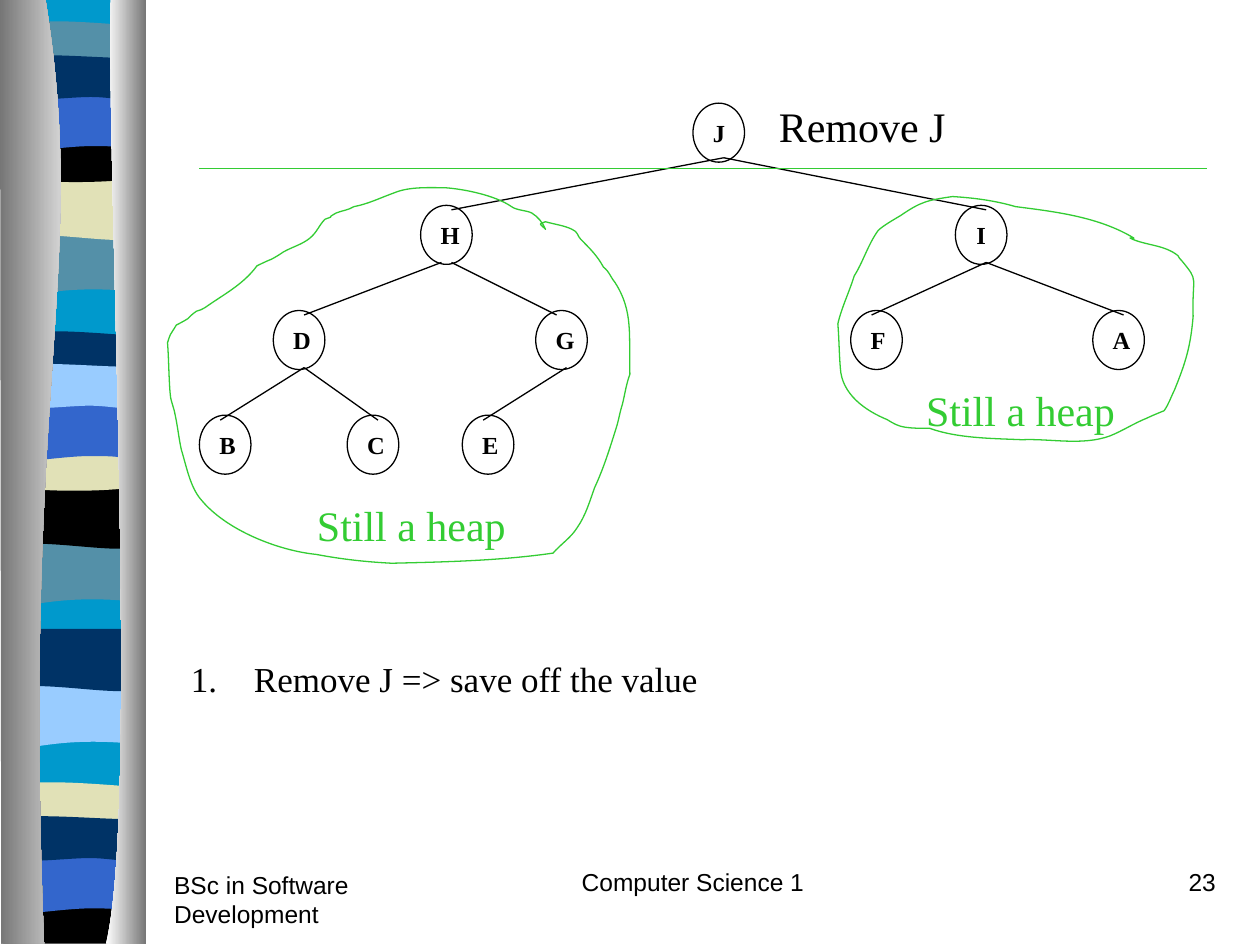
from lxml.etree import Element, SubElement
from pptx import Presentation
from pptx.dml.color import RGBColor
from pptx.enum.shapes import MSO_CONNECTOR, MSO_SHAPE
from pptx.enum.text import MSO_ANCHOR, PP_ALIGN
from pptx.oxml.ns import qn
from pptx.util import Cm, Pt

BLACK = RGBColor(0x00, 0x00, 0x00)
WHITE = RGBColor(0xFF, 0xFF, 0xFF)
GREY = RGBColor(0x76, 0x76, 0x76)
GREEN = RGBColor(0x33, 0xCC, 0x33)
CYAN = RGBColor(0x00, 0x99, 0xCC)
TEAL = RGBColor(0x54, 0x90, 0xA8)
SAND = RGBColor(0xE1, 0xE1, 0xB7)
BLUE = RGBColor(0x33, 0x66, 0xCC)
NAVY = RGBColor(0x00, 0x33, 0x66)
SKY = RGBColor(0x99, 0xCC, 0xFF)
SERIF, SANS = "Times New Roman", "Arial"

# Outlines: a start point, then (x, y) lines or (x1, y1, x2, y2, x, y) curves
UNIT = Cm(0.0254)

# Ribbon bands, relative to their own top left corner
DIP = [(108, 0), (108, 0, 108, 47, 108, 47), (33, 39, 18, 55, 0, 47), (0, 0)]
SWELL = [(108, 0), (108, 47), (90, 55, 33, 41, 0, 47), (0, 0)]
LENS = [(108, 0), (108, 24), (90, 28, 18, 28, 0, 24), (0, 0),
        (6, -5, 23, -4, 41, -4), (59, -4, 94, -1, 108, 0)]
BOWL = [(108, 0), (108, 32), (90, 38, 18, 38, 0, 32), (0, 0), (66, 5, 85, 0, 108, 0)]
BASE = [(108, 0), (108, 37), (1, 37), (0, 0), (66, 5, 85, 0, 108, 0)]
ARCH = [(108, 0), (108, 0, 108, 47, 108, 47), (91, 42, 84, 42, 66, 42),
        (48, 42, 16, 47, 0, 47), (0, 0)]
FLAG = [(108, 0), (108, 31), (101, 36, 84, 31, 66, 31), (48, 31, 11, 36, 0, 31),
        (0, 0), (15, -5, 73, 0, 91, 0), (109, 0, 105, 0, 108, 0)]
BANDS = [  # outline, left, top, colour
    (DIP, 6, 185, TEAL), (SWELL, 6, 141, SAND), (LENS, 6, 21, TEAL),
    (BOWL, 6, 108, BLACK), (ARCH, 6, 74, BLUE), (FLAG, 6, 46, NAVY),
    (DIP, 5, 431, TEAL), (SWELL, 5, 386, BLACK), (LENS, 5, 267, NAVY),
    (BOWL, 5, 353, SAND), (ARCH, 5, 320, BLUE), (FLAG, 5, 291, SKY),
    (DIP, 6, 544, SKY), (SWELL, 6, 499, NAVY), (LENS, 5, 625, SAND),
    (BASE, 5, 712, BLACK), (ARCH, 5, 679, BLUE), (FLAG, 5, 650, NAVY),
]
RIBBON = [(114, -1), (114, 747), (6, 747), (6, -1)]
LEFT_PANEL = [(36, -1), (71, 216, 17, 296, 35, 749), (1, 749), (0, -1)]
RIGHT_PANEL = [(88, -1), (84, 125, 111, 646, 84, 749), (116, 749), (116, 0)]

LEFT_HEAP = [
    (433, 182), (431, 177, 427, 172, 422, 169), (418, 167, 410, 167, 406, 164),
    (393, 155, 368, 150, 353, 149), (341, 149, 325, 148, 313, 153),
    (302, 157, 292, 162, 281, 164), (276, 167, 272, 167, 267, 169),
    (256, 175, 269, 170, 258, 174), (253, 179, 252, 184, 246, 189),
    (240, 194, 232, 196, 225, 200), (222, 202, 219, 204, 215, 206),
    (212, 207, 204, 211, 204, 211), (193, 226, 177, 234, 163, 244),
    (161, 246, 158, 246, 156, 247), (153, 249, 151, 251, 149, 253),
    (146, 255, 140, 258, 140, 258), (134, 268, 136, 263, 133, 272),
    (134, 285, 134, 298, 135, 311), (135, 317, 138, 323, 139, 329),
    (141, 338, 142, 348, 144, 357), (148, 370, 151, 387, 160, 397),
    (180, 421, 221, 437, 251, 440), (272, 444, 291, 446, 311, 447),
    (354, 446, 397, 445, 439, 439), (445, 432, 453, 427, 458, 419),
    (465, 409, 468, 398, 472, 387), (479, 372, 484, 356, 489, 340),
    (491, 334, 492, 327, 494, 321), (496, 313, 497, 305, 500, 297),
    (499, 267, 503, 247, 488, 224), (484, 219, 484, 216, 479, 212),
    (474, 203, 469, 198, 461, 190), (458, 187, 459, 184, 454, 182),
    (448, 179, 440, 178, 433, 176), (427, 178, 428, 177, 433, 182),
]
RIGHT_HEAP = [
    (900, 189), (872, 172, 837, 168, 806, 164), (789, 159, 772, 157, 756, 156),
    (736, 159, 731, 160, 715, 171), (710, 174, 701, 179, 697, 183),
    (689, 194, 685, 208, 678, 219), (674, 232, 668, 244, 665, 257),
    (666, 269, 666, 280, 667, 292), (668, 313, 687, 326, 704, 333),
    (709, 336, 712, 338, 718, 339), (724, 340, 731, 340, 738, 340),
    (760, 348, 788, 348, 811, 349), (834, 348, 859, 354, 881, 346),
    (891, 342, 900, 336, 910, 332), (914, 330, 924, 326, 924, 326),
    (928, 320, 929, 316, 932, 310), (941, 288, 945, 275, 947, 251),
    (946, 218, 952, 224, 938, 207), (936, 206, 936, 204, 935, 203),
    (924, 194, 909, 195, 897, 189), (896, 189, 899, 189, 900, 189),
]

# Tree: left edge of each node (cm) and its level
NODES = {
    "J": (13.97, 0), "H": (8.48, 1), "I": (19.26, 1), "D": (5.51, 2),
    "G": (10.8, 2), "B": (4.02, 3), "C": (7, 3), "E": (9.32, 3),
    "A": (22.03, 2), "F": (17.15, 2),
}
LEVEL_TOPS = [2.08, 4.14, 6.26, 8.37]
EDGE_STARTS = [3.18, 5.29, 7.41]
EDGE_ENDS = [4.23, 6.35, 8.47]
NEAR, FAR = 0.42, 0.62  # where an edge meets a node, from its left side
EDGES = [
    ("J", FAR, "H", FAR), ("H", NEAR, "D", FAR), ("D", FAR, "B", NEAR),
    ("G", FAR, "E", NEAR), ("J", FAR, "I", FAR), ("H", FAR, "G", NEAR),
    ("D", FAR, "C", FAR), ("I", FAR, "A", FAR), ("I", FAR, "F", NEAR),
]


def add_outline(slide, outline, left=0, top=0, fill=None, line=None):
    points = [((left + segment[i]) * UNIT, (top + segment[i + 1]) * UNIT)
              for segment in outline for i in range(0, len(segment), 2)]
    builder = slide.shapes.build_freeform(*points[0])
    builder.add_line_segments(points[1:], close=True)
    shape = builder.convert_to_shape()
    bend(shape, outline)
    shape.shadow.inherit = False
    paint(shape, fill, line)
    return shape


def bend(shape, outline):
    """Join the three lines that stand for each curve into one cubic curve."""
    lines = iter(list(shape._element.iter(qn("a:lnTo"))))
    for segment in outline[1:]:
        parts = [next(lines) for _ in range(len(segment) // 2)]
        if len(parts) == 3:
            curve = Element(qn("a:cubicBezTo"))
            parts[0].addprevious(curve)
            for part in parts:
                curve.append(part[0])
                part.getparent().remove(part)


def paint(shape, fill=None, line=None):
    if fill is None:
        shape.fill.background()
    else:
        shape.fill.solid()
        shape.fill.fore_color.rgb = fill
    if line is None:
        shape.line.fill.background()
    else:
        shape.line.color.rgb = line
        shape.line.width = Pt(0.75)


def add_panel(slide, outline, colors):
    shape = add_outline(slide, outline)
    shape.fill.gradient()
    shape.fill.gradient_angle = 0
    for stop, color in zip(shape.fill.gradient_stops, colors):
        stop.color.rgb = color


def write(shape, text, size, color=BLACK, font=SERIF, bold=False, align=PP_ALIGN.LEFT):
    shape.text_frame.word_wrap = True
    paragraph = shape.text_frame.paragraphs[0]
    paragraph.text = text
    paragraph.alignment = align
    style = paragraph.runs[0].font
    style.name, style.size, style.bold = font, Pt(size), bold
    style.color.rgb = color
    return paragraph


def add_text(slide, text, left, top, width, height, size, **style):
    box = slide.shapes.add_textbox(Cm(left), Cm(top), Cm(width), Cm(height))
    return write(box, text, size, **style)


def add_node(slide, letter):
    left, level = NODES[letter]
    shape = slide.shapes.add_shape(
        MSO_SHAPE.OVAL, Cm(left), Cm(LEVEL_TOPS[level]), Cm(1.04), Cm(1.19))
    shape.shadow.inherit = False
    paint(shape, line=BLACK)
    shape.text_frame.vertical_anchor = MSO_ANCHOR.MIDDLE
    write(shape, letter, 14, bold=True, align=PP_ALIGN.CENTER)


def add_line(slide, x1, y1, x2, y2, color):
    line = slide.shapes.add_connector(
        MSO_CONNECTOR.STRAIGHT, Cm(x1), Cm(y1), Cm(x2), Cm(y2))
    line.line.color.rgb = color
    line.line.width = Pt(0.75)
    SubElement(line._element.spPr, qn("a:effectLst"))


def add_edge(slide, parent, parent_offset, child, child_offset):
    (x1, level), (x2, _) = NODES[parent], NODES[child]
    add_line(slide, x1 + parent_offset, EDGE_STARTS[level],
             x2 + child_offset, EDGE_ENDS[level], BLACK)


def number(paragraph):
    properties = paragraph._p.get_or_add_pPr()
    properties.set("marL", str(Cm(1.27)))
    properties.set("indent", str(-Cm(1.27)))
    SubElement(properties, qn("a:buAutoNum"), type="arabicPeriod")


def main():
    presentation = Presentation()
    presentation.slide_width, presentation.slide_height = Cm(25.4), Cm(19.05)
    slide = presentation.slides.add_slide(presentation.slide_layouts[6])

    # Striped ribbon between two shaded panels
    add_outline(slide, RIBBON, fill=CYAN)
    for outline, left, top, color in BANDS:
        add_outline(slide, outline, left, top, fill=color)
    add_panel(slide, LEFT_PANEL, (GREY, WHITE))
    add_panel(slide, RIGHT_PANEL, (WHITE, GREY))

    # Tree
    for letter in NODES:
        add_node(slide, letter)
    for edge in EDGES:
        add_edge(slide, *edge)

    # Cut below the root and the two remaining heaps
    add_line(slide, 4.02, 3.39, 24.34, 3.39, GREEN)
    for outline, left, top in ((LEFT_HEAP, 6.14, 9.95), (RIGHT_HEAP, 18.42, 7.62)):
        add_outline(slide, outline, line=GREEN)
        add_text(slide, "Still a heap", left, top, 4.45, 1.27, 24, color=GREEN)

    # Caption and step
    add_text(slide, "Remove J", 15.45, 1.9, 5.86, 1.27, 24)
    number(add_text(slide, "Remove J => save off the value", 3.6, 13.13, 18.2, 1.11, 20))

    # Footer
    add_text(slide, "Computer Science 1", 9.95, 17.36, 8.04, 1.27, 14,
             font=SANS, align=PP_ALIGN.CENTER)
    add_text(slide, "23", 19.47, 17.36, 5.29, 1.27, 14, font=SANS, align=PP_ALIGN.RIGHT)
    add_text(slide, "BSc in Software Development", 3.26, 17.41, 5.29, 1.27, 14, font=SANS)

    presentation.save("out.pptx")


if __name__ == "__main__":
    main()
